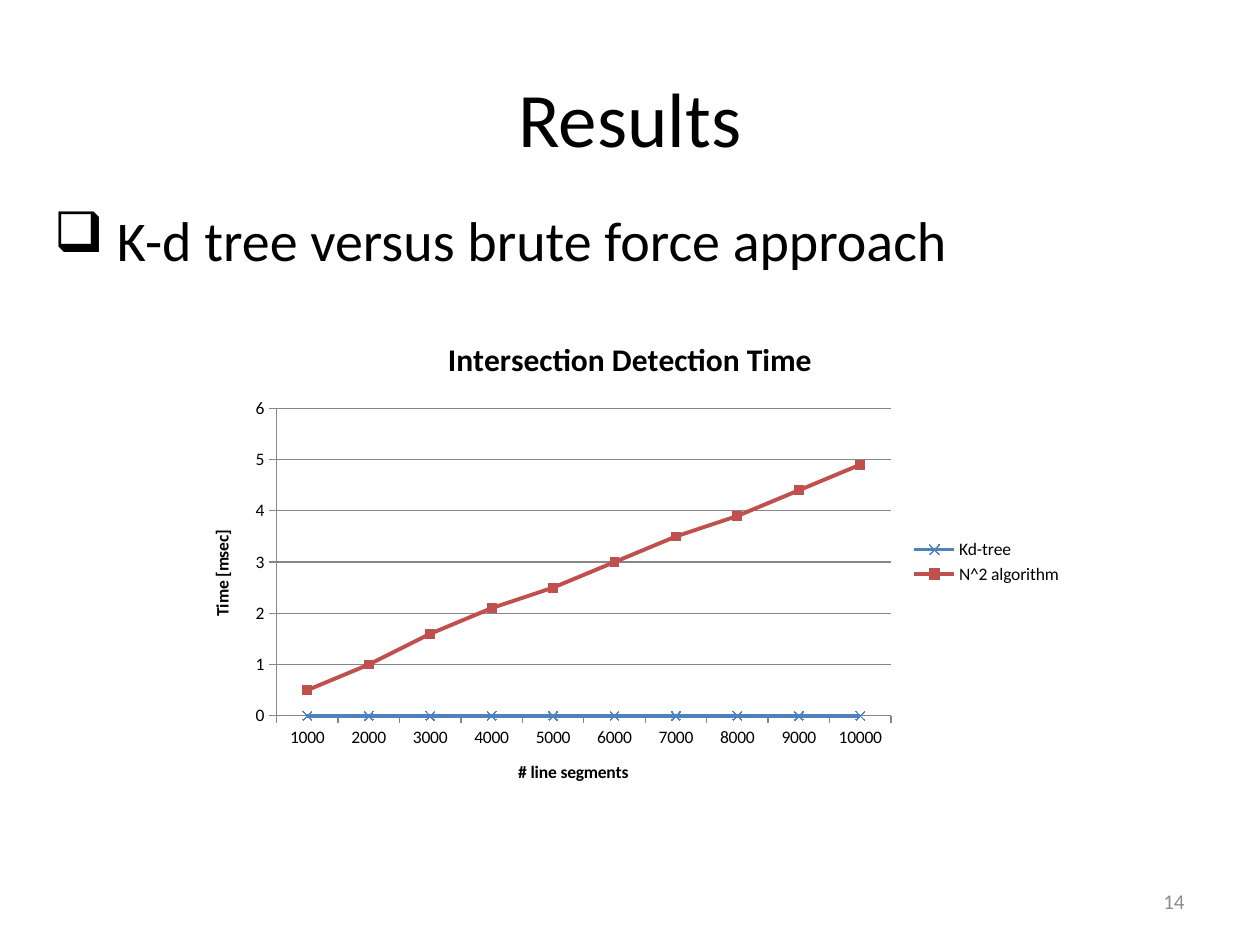
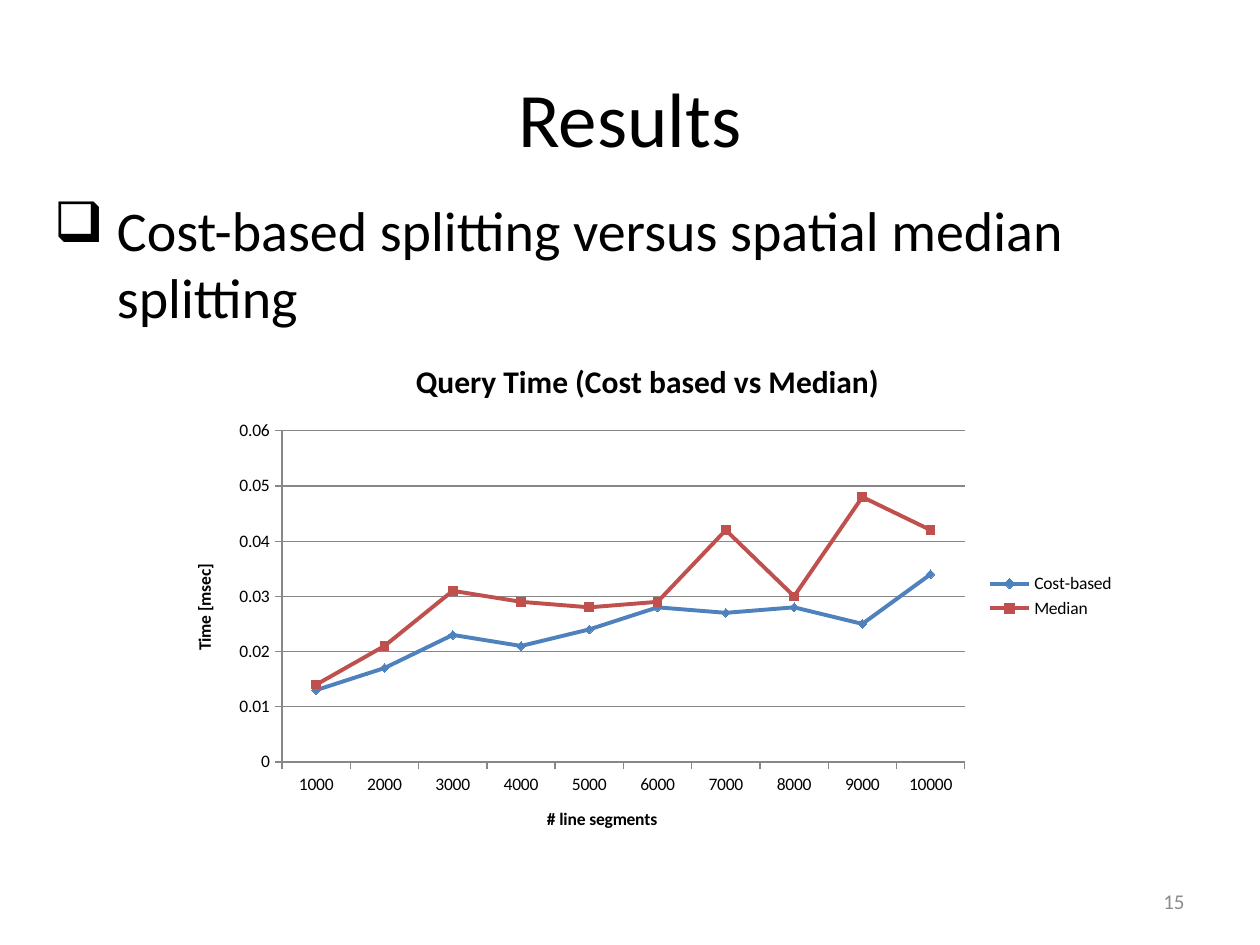
from dataclasses import dataclass

from lxml.etree import SubElement
from pptx import Presentation
from pptx.chart.chart import Chart
from pptx.chart.data import CategoryChartData
from pptx.dml.color import RGBColor
from pptx.enum.chart import XL_CHART_TYPE as ChartType
from pptx.enum.chart import XL_LEGEND_POSITION as LegendPosition
from pptx.enum.chart import XL_MARKER_STYLE as Marker
from pptx.enum.chart import XL_TICK_MARK as TickMark
from pptx.enum.text import MSO_ANCHOR as Anchor
from pptx.enum.text import PP_ALIGN as Align
from pptx.oxml.ns import qn
from pptx.slide import Slide
from pptx.text.text import TextFrame
from pptx.util import Inches, Pt

FONT = "Calibri"
COLORS = {
    "text": "000000",
    "page_number": "8C8C8C",
    "grid": "878787",
    "blue": "4F81BD",
    "red": "C0504D",
}
SEGMENT_COUNTS = [str(count) for count in range(1000, 10001, 1000)]
TITLE_ONLY = 5


@dataclass
class Box:
    left: float
    top: float
    width: float
    height: float

    def lengths(self) -> list:
        return [Inches(n) for n in (self.left, self.top, self.width, self.height)]


@dataclass
class Line:
    name: str
    values: list[float]
    color: str
    marker: Marker


@dataclass
class ResultSlide:
    page: int
    statement: str
    statement_box: Box
    chart_title: str
    chart_box: Box
    axis_maximum: float
    axis_step: float
    lines: list[Line]


TITLE_BOX = Box(0.5, 0.3, 9, 1.25)
PAGE_BOX = Box(7.17, 6.95, 2.33, 0.4)

RESULTS = [
    ResultSlide(
        14, "K-d tree versus brute force approach", Box(0.33, 1.58, 9.33, 0.64),
        "Intersection Detection Time", Box(1.47, 2.5, 7.06, 3.92), 6, 1,
        [
            Line("Kd-tree", [0] * 10, "blue", Marker.X),
            Line("N^2 algorithm", [0.5, 1, 1.6, 2.1, 2.5, 3, 3.5, 3.9, 4.4, 4.9],
                 "red", Marker.SQUARE),
        ],
    ),
    ResultSlide(
        15, "Cost-based splitting versus spatial median splitting",
        Box(0.33, 1.5, 9.33, 1.18),
        "Query Time (Cost based vs Median)", Box(1.33, 2.67, 7.62, 4.12), 0.06, 0.01,
        [
            Line("Cost-based",
                 [0.013, 0.017, 0.023, 0.021, 0.024, 0.028, 0.027, 0.028, 0.025, 0.034],
                 "blue", Marker.DIAMOND),
            Line("Median",
                 [0.014, 0.021, 0.031, 0.029, 0.028, 0.029, 0.042, 0.03, 0.048, 0.042],
                 "red", Marker.SQUARE),
        ],
    ),
]


def rgb(name: str) -> RGBColor:
    return RGBColor.from_string(COLORS[name])


def write(frame: TextFrame, text: str, *, size: float, color: str = "text",
          bold: bool = False, align: Align | None = None,
          anchor: Anchor | None = None, bullet: str = "") -> None:
    paragraph = frame.paragraphs[0]
    run = paragraph.add_run()
    run.text = text
    run.font.name = FONT
    run.font.size = Pt(size)
    run.font.bold = bold
    run.font.color.rgb = rgb(color)
    if align is not None:
        paragraph.alignment = align
    if anchor is not None:
        frame.vertical_anchor = anchor
    if bullet:
        properties = paragraph._p.get_or_add_pPr()
        properties.set("marL", str(Inches(0.5)))
        properties.set("indent", str(-Inches(0.5)))
        SubElement(properties, qn("a:buChar")).set("char", bullet)


def add_text(slide: Slide, box: Box, text: str, **text_format) -> None:
    frame = slide.shapes.add_textbox(*box.lengths()).text_frame
    frame.word_wrap = True
    write(frame, text, **text_format)


def format_axis(axis, title: str) -> None:
    write(axis.axis_title.text_frame, title, size=10, bold=True)
    axis.major_tick_mark = TickMark.OUTSIDE
    axis.minor_tick_mark = TickMark.NONE
    axis.format.line.color.rgb = rgb("grid")
    axis.format.line.width = Pt(0.75)


def format_lines(chart: Chart, lines: list[Line]) -> None:
    for series, line in zip(chart.plots[0].series, lines):
        color = rgb(line.color)
        series.smooth = False
        series.format.line.color.rgb = color
        series.format.line.width = Pt(2.25)
        series.marker.style = line.marker
        series.marker.size = 5
        series.marker.format.fill.solid()
        series.marker.format.fill.fore_color.rgb = color
        series.marker.format.line.color.rgb = color


def add_time_chart(slide: Slide, result: ResultSlide) -> None:
    data = CategoryChartData()
    data.categories = SEGMENT_COUNTS
    for line in result.lines:
        data.add_series(line.name, line.values)
    chart = slide.shapes.add_chart(
        ChartType.LINE_MARKERS, *result.chart_box.lengths(), data).chart
    chart.font.name = FONT
    chart.font.size = Pt(10)
    chart.font.color.rgb = rgb("text")
    write(chart.chart_title.text_frame, result.chart_title, size=18, bold=True)
    chart.has_legend = True
    chart.legend.position = LegendPosition.RIGHT
    chart.legend.include_in_layout = False

    format_axis(chart.category_axis, "# line segments")
    value_axis = chart.value_axis
    format_axis(value_axis, "Time [msec]")
    value_axis.minimum_scale = 0
    value_axis.maximum_scale = result.axis_maximum
    value_axis.major_unit = result.axis_step
    value_axis.has_major_gridlines = True
    value_axis.major_gridlines.format.line.color.rgb = rgb("grid")
    value_axis.major_gridlines.format.line.width = Pt(0.75)
    chart.plots[0].vary_by_categories = False
    format_lines(chart, result.lines)


def add_result_slide(presentation: Presentation, result: ResultSlide) -> None:
    slide = presentation.slides.add_slide(presentation.slide_layouts[TITLE_ONLY])
    title = slide.shapes.title
    title.left, title.top, title.width, title.height = TITLE_BOX.lengths()
    write(title.text_frame, "Results", size=44, align=Align.CENTER, anchor=Anchor.MIDDLE)
    add_text(slide, PAGE_BOX, str(result.page), size=12, color="page_number",
             align=Align.RIGHT, anchor=Anchor.MIDDLE)
    add_time_chart(slide, result)
    add_text(slide, result.statement_box, result.statement, size=32, bullet="❑")


def main() -> None:
    presentation = Presentation()
    presentation.slide_width = Inches(10)
    presentation.slide_height = Inches(7.5)
    for result in RESULTS:
        add_result_slide(presentation, result)
    presentation.save("out.pptx")


if __name__ == "__main__":
    main()
